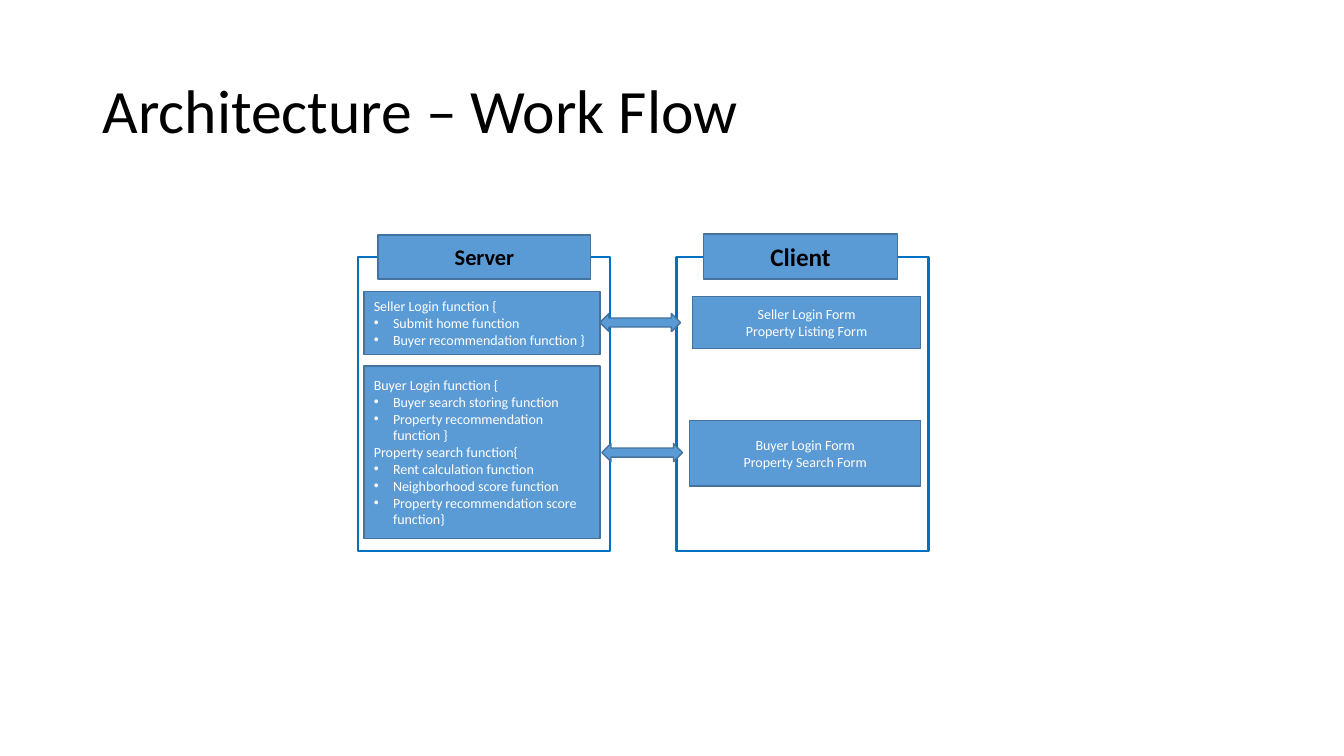
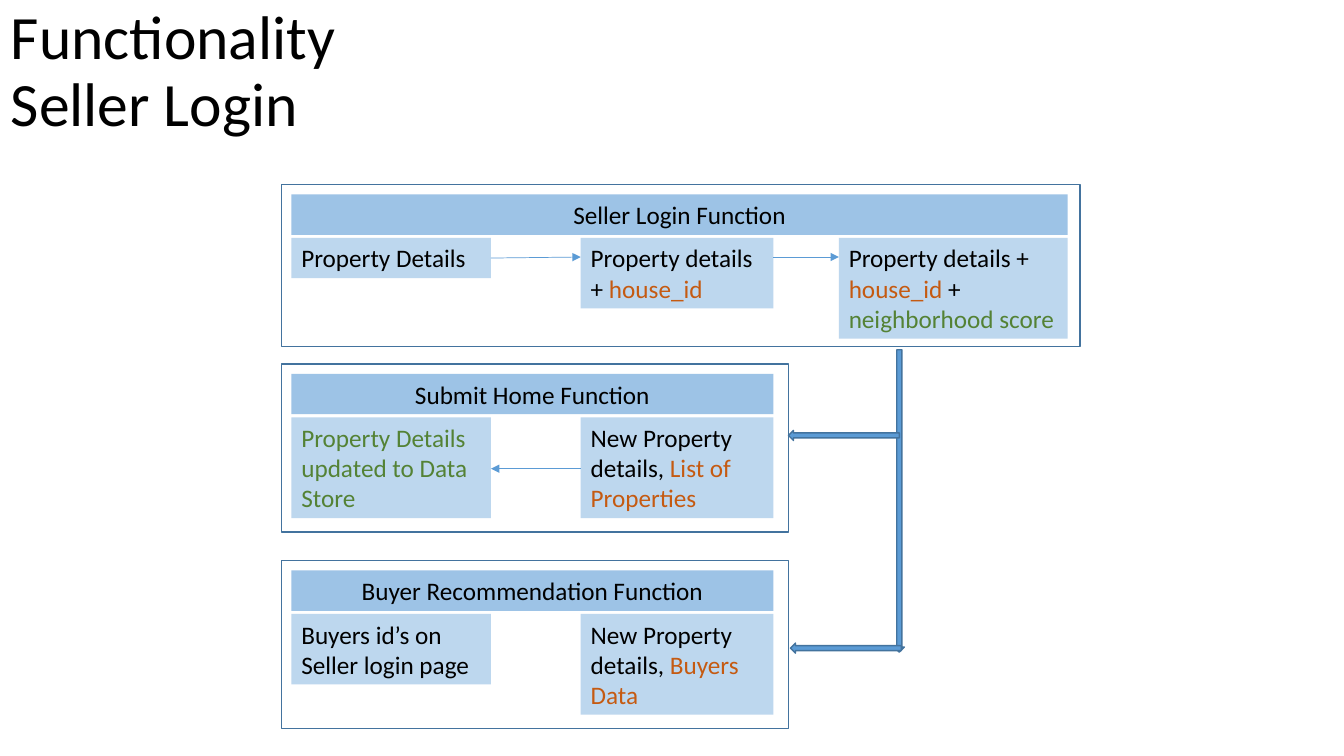
from lxml import etree
from pptx import Presentation
from pptx.dml.color import RGBColor
from pptx.enum.shapes import MSO_CONNECTOR as Conn, MSO_SHAPE as Shape
from pptx.enum.text import MSO_ANCHOR as Anchor, PP_ALIGN as Align
from pptx.oxml.ns import qn
from pptx.util import Inches, Pt

COLORS = {
    "black": "000000", "white": "FFFFFF", "frame": "0070C0",
    "blue": "5B9BD5", "edge": "43739E", "header": "9DC3E6",
    "cell": "BDD7EE", "orange": "C55A11", "green": "548235",
}
BULLET = "• "


def rgb(name):
    return RGBColor.from_string(COLORS[name])


class Deck:
    FONT = "Calibri"

    def __init__(self):
        self.prs = Presentation()
        self.prs.slide_width, self.prs.slide_height = Inches(13.33), Inches(7.5)
        self.s = None

    def slide(self, title, x, y):
        self.s = self.prs.slides.add_slide(self.prs.slide_layouts[6])
        sp = self.s.shapes.add_textbox(*map(Inches, (x, y, 11.5, 1.45)))
        self.set_text(sp, [title], size=44, align=Align.LEFT, line_spacing=0.9)

    def set_text(self, sp, paragraphs, size, color="black", bold=False,
                 align=Align.CENTER, anchor=Anchor.MIDDLE, line_spacing=None):
        """Fill a shape; a paragraph is a string or a list of (text, color)."""
        tf = sp.text_frame
        tf.word_wrap, tf.vertical_anchor = True, anchor
        font = {"name": self.FONT, "size": Pt(size), "bold": bold}
        for i, content in enumerate(paragraphs):
            p = tf.add_paragraph() if i else tf.paragraphs[0]
            p.alignment, p.line_spacing = align, line_spacing
            if isinstance(content, str):
                if content.startswith(BULLET):
                    self.bullet(p)
                content = [(content.removeprefix(BULLET), color)]
            for text, run_color in content:
                for n, line in enumerate(text.split("\n")):
                    if n:
                        p.add_line_break()
                    r = p.add_run()
                    r.text = line
                    for name, value in font.items():
                        setattr(r.font, name, value)
                    r.font.color.rgb = rgb(run_color)

    def bullet(self, p):
        pPr = p._p.get_or_add_pPr()
        indent = Inches(0.19)
        pPr.set("marL", str(indent))
        pPr.set("indent", str(-indent))
        etree.SubElement(pPr, qn("a:buFont")).set("typeface", "Arial")
        etree.SubElement(pPr, qn("a:buChar")).set("char", BULLET.strip())

    def shape(self, x, y, w, h, kind=Shape.RECTANGLE, fill="blue", line="edge", weight=1):
        sp = self.s.shapes.add_shape(kind, *map(Inches, (x, y, w, h)))
        sp.shadow.inherit = False
        if fill:
            sp.fill.solid()
            sp.fill.fore_color.rgb = rgb(fill)
        else:
            sp.fill.background()
        if line:
            sp.line.color.rgb = rgb(line)
            sp.line.width = Pt(weight)
        else:
            sp.line.fill.background()
        return sp

    def box(self, x, y, w, h, paragraphs, size=10, color="white", **style):
        self.set_text(self.shape(x, y, w, h), paragraphs, size, color, **style)

    def label(self, x, y, w, lines, content, fill="cell", align=Align.LEFT):
        """Borderless 18 pt box, as tall as its number of text lines."""
        sp = self.shape(x, y, w, 0.1 + 0.3 * lines, fill=fill, line=None)
        self.set_text(sp, [content], 18, align=align, anchor=Anchor.TOP)

    def panel(self, y, w, h, title, cells):
        """Outlined group: a header strip over cells of (x, width, lines, content)."""
        self.shape(2.79, y, w, h, fill=None)
        left, right = cells[0][0], cells[-1][0] + cells[-1][1]
        self.label(left, y + 0.1, right - left, 1, title, "header", Align.CENTER)
        for x, cell_w, lines, content in cells:
            self.label(x, y + 0.53, cell_w, lines, content)

    def arrow(self, x1, y1, x2, y2):
        c = self.s.shapes.add_connector(Conn.STRAIGHT, *map(Inches, (x1, y1, x2, y2)))
        c.line.color.rgb = rgb("blue")
        c.line.width = Pt(0.5)
        spPr = c._element.spPr
        etree.SubElement(spPr.get_or_add_ln(), qn("a:tailEnd")).set("type", "triangle")
        etree.SubElement(spPr, qn("a:effectLst"))


def architecture(deck):
    deck.slide("Architecture – Work Flow", 0.92, 0.4)
    for x in (3.55, 6.71):
        deck.shape(x, 2.55, 2.5, 2.92, fill="white", line="frame", weight=1.5)
    deck.box(3.75, 2.33, 2.11, 0.44, ["Server"], 16, "black", bold=True)
    deck.box(6.98, 2.32, 1.92, 0.45, ["Client"], 18, "black", bold=True)

    deck.box(3.61, 2.89, 2.34, 0.63, [
        "Seller Login function {",
        "• Submit home function",
        "• Buyer recommendation function }",
    ], align=Align.LEFT)
    deck.box(3.61, 3.63, 2.34, 1.71, [
        "Buyer Login function {",
        "• Buyer search storing function",
        "• Property recommendation function }",
        "Property search function{",
        "• Rent calculation function",
        "• Neighborhood score function",
        "• Property recommendation score function}",
    ], align=Align.LEFT)
    deck.box(6.87, 2.94, 2.26, 0.52, ["Seller Login Form", "Property Listing Form"])
    deck.box(6.84, 4.17, 2.29, 0.65, ["Buyer Login Form", "Property Search Form"])
    for x, y in ((5.95, 3.11), (5.97, 4.4)):
        deck.shape(x, y, 0.8, 0.18, Shape.LEFT_RIGHT_ARROW)


def seller_login(deck):
    deck.slide("Functionality\nSeller Login", 0.01, 0)
    first, second, third = (2.89, 1.98), (5.76, 1.91), (8.32, 2.27)
    deck.panel(1.83, 7.92, 1.61, "Seller Login Function", [
        (*first, 1, "Property Details"),
        (*second, 2, [("Property details + ", "black"), ("house_id", "orange")]),
        (*third, 3, [("Property details + ", "black"), ("house_id ", "orange"),
                     ("+ ", "black"), ("neighborhood score", "green")]),
    ])
    deck.panel(3.61, 5.03, 1.67, "Submit Home Function", [
        (*first, 3, [("Property Details updated to Data Store", "green")]),
        (*second, 3, [("New Property details, ", "black"),
                      ("List of Properties", "orange")]),
    ])
    deck.panel(5.56, 5.03, 1.67, "Buyer Recommendation Function", [
        (*first, 2, "Buyers id’s on Seller login page"),
        (*second, 3, [("New Property details, ", "black"), ("Buyers Data", "orange")]),
    ])
    deck.arrow(4.87, 2.56, 5.76, 2.55)
    deck.arrow(7.67, 2.55, 8.32, 2.55)
    deck.arrow(5.76, 4.65, 4.87, 4.65)
    deck.shape(8.87, 3.47, 0.1, 3, Shape.DOWN_ARROW)
    for x, y in ((7.82, 4.27), (7.84, 6.38)):
        deck.shape(x, y, 1.1, 0.1, Shape.LEFT_ARROW)


def main():
    deck = Deck()
    architecture(deck)
    seller_login(deck)
    deck.prs.save("out.pptx")


if __name__ == "__main__":
    main()
